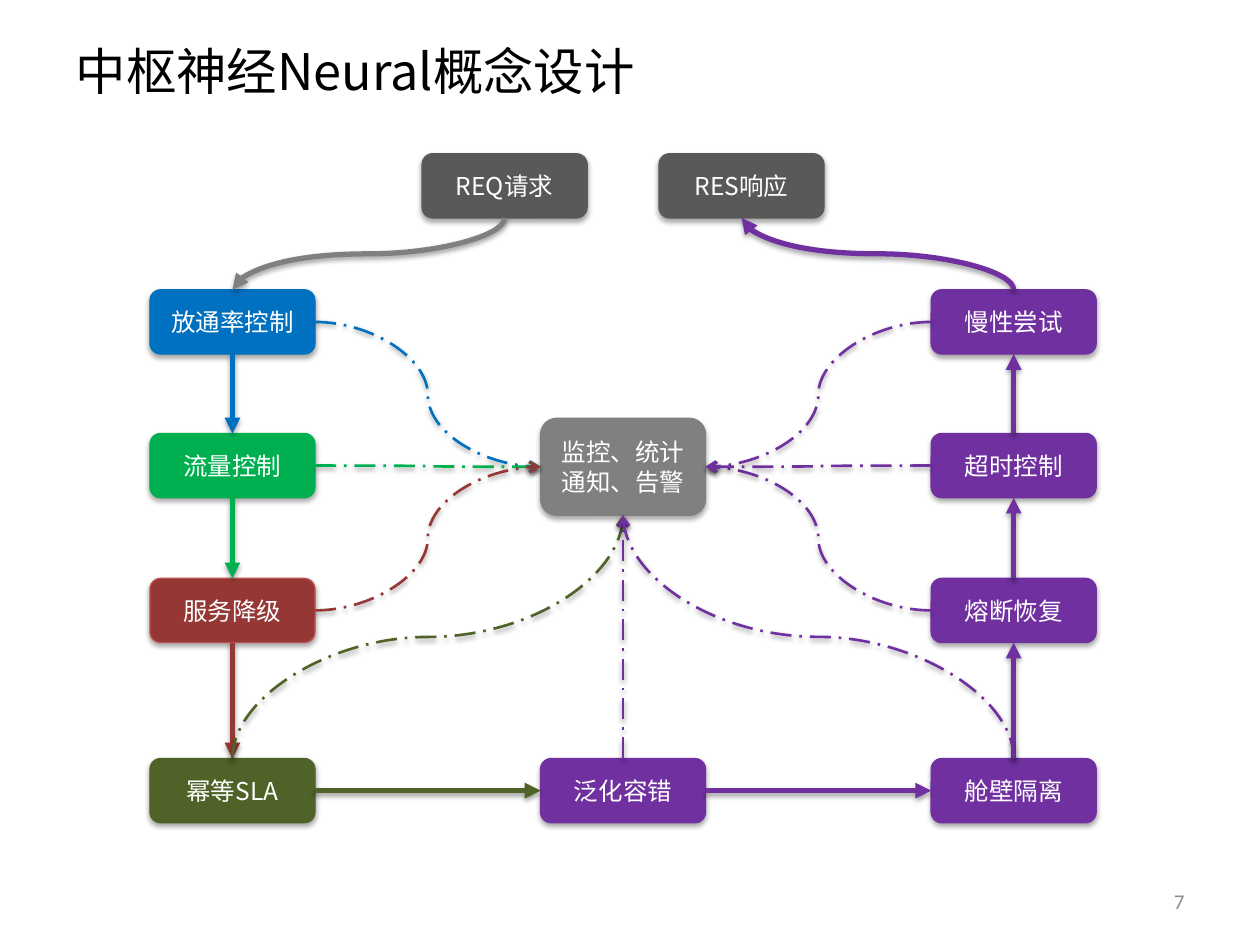
"""Build the concept slide: a request flow around a central monitor."""
import dataclasses

import pptx
import pptx.dml.color
import pptx.enum.dml
import pptx.enum.shapes
import pptx.enum.text
import pptx.oxml
import pptx.oxml.ns
import pptx.util


@dataclasses.dataclass(frozen=True)
class Theme:
    black: str = "000000"
    white: str = "FFFFFF"
    dark: str = "595959"
    gray: str = "808080"
    pale: str = "8C8C8C"
    blue: str = "0070C0"
    green: str = "00B050"
    red: str = "953735"
    rose: str = "C0504D"
    olive: str = "4F6228"
    violet: str = "7030A0"
    face: str = "Noto Sans CJK SC"
    latin: str = "Calibri"
    head: float = 28.8
    body: int = 14
    foot: int = 12


theme = Theme()
PX = 9144
RGB = pptx.dml.color.RGBColor.from_string
qn = pptx.oxml.ns.qn
NS = pptx.oxml.ns.nsdecls("a")
MID = pptx.enum.text.MSO_ANCHOR.MIDDLE
ALIGN = pptx.enum.text.PP_ALIGN
LINK = pptx.enum.shapes.MSO_CONNECTOR
TOP, LEFT, BOTTOM, RIGHT = range(4)


def write(frame, text, size, color, face, align):
    """Fill a text frame, one paragraph a line."""
    frame.text = text
    frame.word_wrap = True
    frame.vertical_anchor = MID
    for para in frame.paragraphs:
        para.alignment = align
        font = para.font
        font.size = pptx.util.Pt(size)
        font.name = face
        font.color.rgb = RGB(color)
        props = para._p.pPr.find(qn("a:defRPr"))
        props.append(pptx.oxml.parse_xml(f'<a:ea {NS} typeface="{face}"/>'))


def shade(item, gap, alpha):
    """Drop a soft shadow straight below a shape or line."""
    props = item._element.spPr
    for old in props.findall(qn("a:effectLst")):
        props.remove(old)
    props.append(pptx.oxml.parse_xml(
        f'<a:effectLst {NS}><a:outerShdw blurRad="{int(pptx.util.Pt(3.1))}" '
        f'dist="{int(pptx.util.Pt(gap))}" dir="5400000" rotWithShape="0">'
        f'<a:srgbClr val="{theme.black}"><a:alpha val="{alpha}000"/></a:srgbClr>'
        '</a:outerShdw></a:effectLst>'))


deck = pptx.Presentation()
deck.slide_width, deck.slide_height = 1000 * PX, 750 * PX
slide = deck.slides.add_slide(deck.slide_layouts[5])
shapes = slide.shapes

title = shapes.title
title.left, title.top, title.width, title.height = (n * PX for n in (50, 30, 900, 51))
write(title.text_frame, "中枢神经Neural概念设计", theme.head, theme.black, theme.face, ALIGN.LEFT)
title.text_frame.auto_size = pptx.enum.text.MSO_AUTO_SIZE.NONE

number = shapes.add_textbox(*(n * PX for n in (717, 695, 233, 40)))
write(number.text_frame, "7", theme.foot, theme.pale, theme.latin, ALIGN.RIGHT)

WIDE, HIGH = 131, 51
west, center, east = (119 + 310 * i for i in range(3))
rows = (230, 344, 459, 602)
nodes = (
    ("pass", "放通率控制", west, rows[0], HIGH, theme.blue, theme.blue),
    ("req", "REQ请求", 335, 122, HIGH, theme.dark, theme.dark),
    ("res", "RES响应", 523, 122, HIGH, theme.dark, theme.dark),
    ("flow", "流量控制", west, rows[1], HIGH, theme.green, theme.green),
    ("fault", "泛化容错", center, rows[3], HIGH, theme.violet, theme.violet),
    ("degrade", "服务降级", west, rows[2], HIGH, theme.red, theme.rose),
    ("timeout", "超时控制", east, rows[1], HIGH, theme.violet, theme.violet),
    ("sla", "幂等SLA", west, rows[3], HIGH, theme.olive, theme.olive),
    ("retry", "慢性尝试", east, rows[0], HIGH, theme.violet, theme.violet),
    ("fuse", "熔断恢复", east, rows[2], HIGH, theme.violet, theme.violet),
    ("bulkhead", "舱壁隔离", east, rows[3], HIGH, theme.violet, theme.violet),
    ("monitor", "监控、统计\n通知、告警", center, 332, 77, theme.gray, theme.gray),
)
boxes = {}
for key, text, x, y, high, fill, edge in nodes:
    box = shapes.add_shape(pptx.enum.shapes.MSO_SHAPE.ROUNDED_RECTANGLE,
                           x * PX, y * PX, WIDE * PX, high * PX)
    box.fill.solid()
    box.fill.fore_color.rgb = RGB(fill)
    box.line.color.rgb = RGB(edge)
    box.line.width = pptx.util.Pt(0.75)
    box.shadow.inherit = False
    shade(box, 1.8, 35)
    write(box.text_frame, text, theme.body, theme.white, theme.face, ALIGN.CENTER)
    boxes[key] = box

flows = (
    ("pass", BOTTOM, "flow", TOP, theme.blue),
    ("flow", BOTTOM, "degrade", TOP, theme.green),
    ("degrade", BOTTOM, "sla", TOP, theme.red),
    ("timeout", TOP, "retry", BOTTOM, theme.violet),
    ("fuse", TOP, "timeout", BOTTOM, theme.violet),
    ("bulkhead", TOP, "fuse", BOTTOM, theme.violet),
    ("fault", RIGHT, "bulkhead", LEFT, theme.violet),
    ("sla", RIGHT, "fault", LEFT, theme.olive),
)
reports = (
    ("pass", RIGHT, "monitor", LEFT, theme.blue),
    ("flow", RIGHT, "monitor", LEFT, theme.green),
    ("degrade", RIGHT, "monitor", LEFT, theme.red),
    ("sla", TOP, "monitor", BOTTOM, theme.olive),
    ("fault", TOP, "monitor", BOTTOM, theme.violet),
    ("bulkhead", TOP, "monitor", BOTTOM, theme.violet),
    ("fuse", LEFT, "monitor", RIGHT, theme.violet),
    ("retry", LEFT, "monitor", RIGHT, theme.violet),
    ("timeout", LEFT, "monitor", RIGHT, theme.violet),
)
calls = (
    ("req", BOTTOM, "pass", TOP, theme.gray),
    ("retry", TOP, "res", BOTTOM, theme.violet),
)
kinds = (
    (flows, LINK.STRAIGHT, 3, None, "triangle"),
    (reports, LINK.CURVE, 1.5, pptx.enum.dml.MSO_LINE.LONG_DASH_DOT, "arrow"),
    (calls, LINK.CURVE, 3, None, "triangle"),
)
for links, kind, weight, dash, tip in kinds:
    for start, out, end, into, color in links:
        ends = []
        for key, site in ((start, out), (end, into)):
            box = boxes[key]
            across, down = ((1, 0), (0, 1), (1, 2), (2, 1))[site]
            ends += [box.left + box.width * across // 2, box.top + box.height * down // 2]
        x1, y1, x2, y2 = ends
        upright = kind == LINK.CURVE and out in (TOP, BOTTOM)
        if upright:
            turn = 1 if y2 > y1 else -1
            midx, midy = (x1 + x2) // 2, (y1 + y2) // 2
            run, rise = abs(y2 - y1) // 2, turn * (x2 - x1) // 2
            ends = [midx - run, midy + rise, midx + run, midy - rise]
        line = shapes.add_connector(kind, *ends)
        if upright:
            frame = line._element.spPr.find(qn("a:xfrm"))
            frame.set("rot", str((90 if turn > 0 else 270) * 60000))
        if kind == LINK.STRAIGHT:
            line.begin_connect(boxes[start], out)
            line.end_connect(boxes[end], into)
        line.line.color.rgb = RGB(color)
        line.line.width = pptx.util.Pt(weight)
        if dash:
            line.line.dash_style = dash
        stroke = line._element.spPr.find(qn("a:ln"))
        stroke.append(pptx.oxml.parse_xml(f'<a:tailEnd {NS} type="{tip}"/>'))
        shade(line, 1.6, 38)

deck.save("out.pptx")
